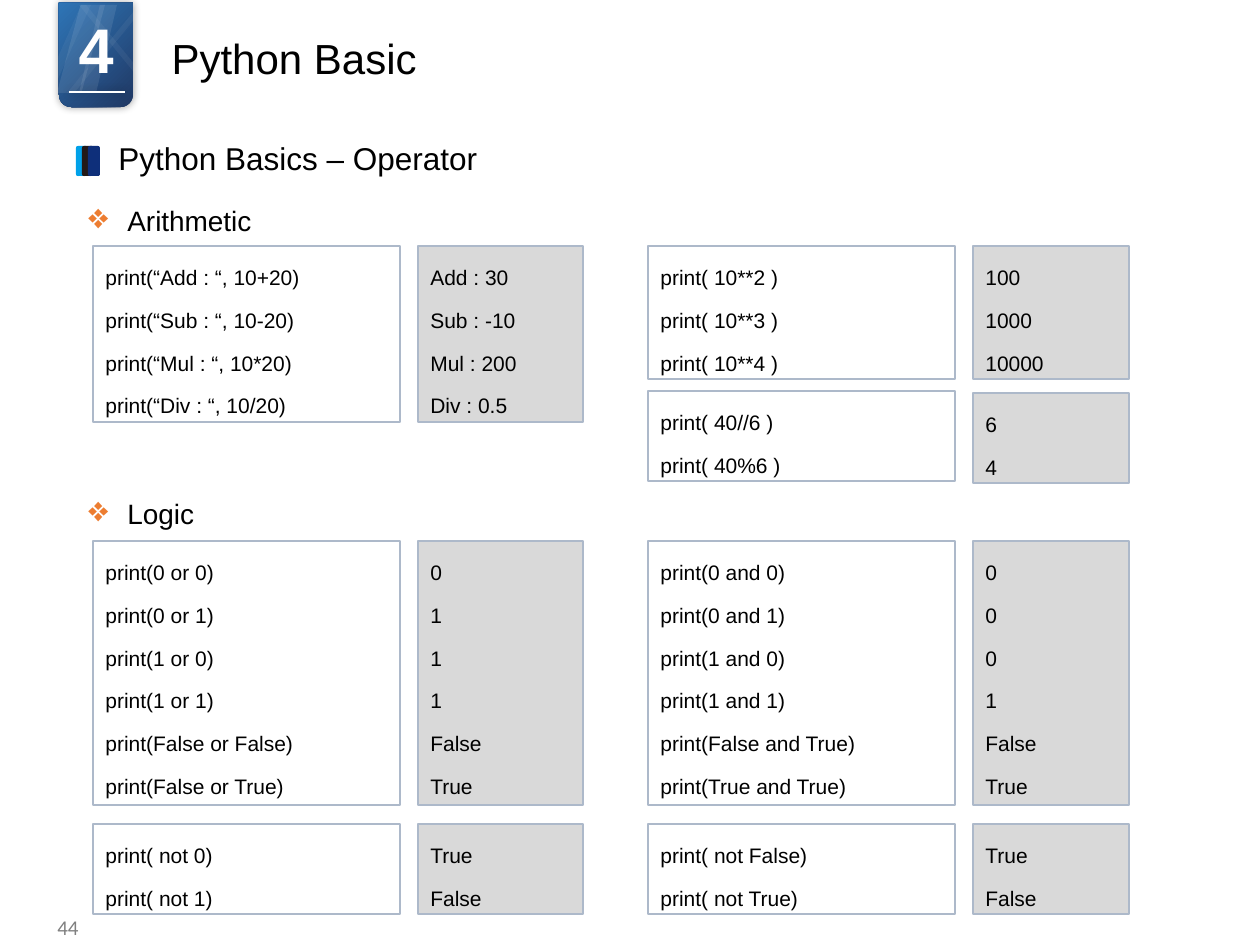
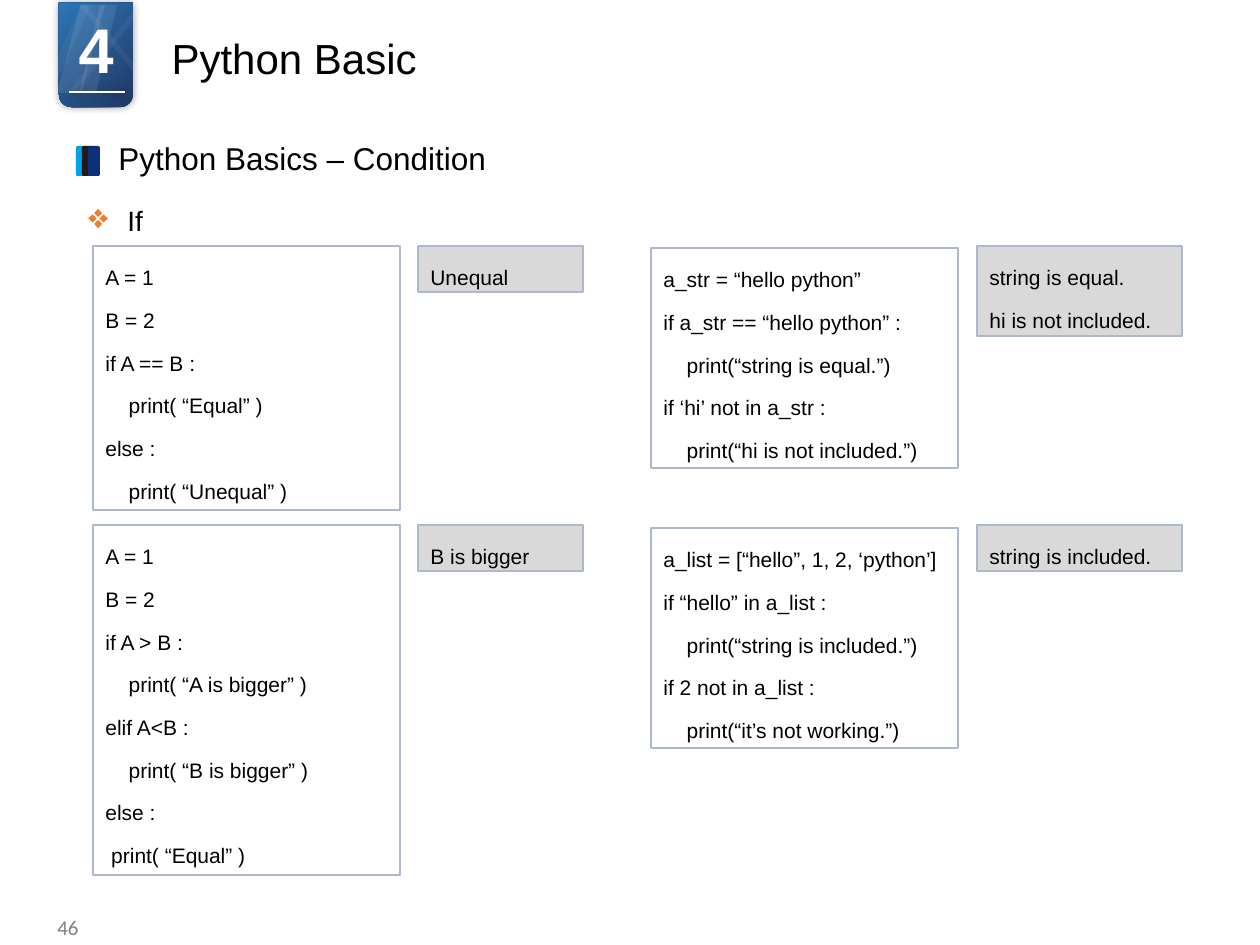
from lxml import etree
from pptx import Presentation
from pptx.dml.color import RGBColor
from pptx.enum.shapes import MSO_CONNECTOR, MSO_SHAPE
from pptx.enum.text import MSO_ANCHOR, MSO_AUTO_SIZE, PP_ALIGN
from pptx.oxml.ns import qn
from pptx.util import Emu, Pt

PX = 914400 / 126
COLORS = {
    "text": "000000", "white": "FFFFFF", "page": "808080",
    "output": "D9D9D9", "border": "ADB9CA", "bullet": "ED7D31",
    "badge_dark": "203864", "badge_light": "2E75B6",
    "bar_cyan": "00A1E9", "bar_black": "231916", "bar_navy": "0E2F7A",
}

# Column positions: left, width
LEFT_CODE, LEFT_OUT = (93, 307), (418, 165)
OPERATOR_CODE, OPERATOR_OUT = (648, 307), (973, 156)
CONDITION_CODE, CONDITION_OUT = (651, 307), (977, 205)

# Badge rays: left, width, adjustment, opacity in percent, mirrored
RAYS = [
    (57, 48, 0.49, 9, False),
    (79, 38, 0.55, 9, False),
    (67, 79, 0.91, 5, False),
    (42, 49, 0.8, 5, False),
    (79, 79, 0.91, 5, True),
]


def px(*values):
    return [Emu(round(v * PX)) for v in values]


def rgb(name):
    return RGBColor.from_string(COLORS[name])


def sub(parent, tag, **attrs):
    child = etree.SubElement(parent, qn(tag))
    for key, value in attrs.items():
        child.set(key, str(value))
    return child


def add_glow(s):
    """Soft shadow without offset."""
    effects = sub(s._element.spPr, "a:effectLst")
    shadow = sub(effects, "a:outerShdw", blurRad=Pt(5), dist=0, dir=0)
    sub(sub(shadow, "a:srgbClr", val=COLORS["text"]), "a:alpha", val=40000)


def add_preset(shapes, kind, box, fill=None, line=None):
    s = shapes.add_shape(kind, *px(*box))
    if fill:
        s.fill.solid()
        s.fill.fore_color.rgb = rgb(fill)
    else:
        s.fill.background()
    if line:
        s.line.color.rgb = rgb(line)
        s.line.width = Pt(0.75)
    else:
        s.line.fill.background()
    return s


def write(p, text, size, color="text", font="Arial", bold=False):
    r = p.add_run()
    r.text = text
    r.font.size = Pt(size)
    r.font.name = font
    r.font.bold = bold
    r.font.color.rgb = rgb(color)
    return r


def add_label(slide, box, text, size, align=PP_ALIGN.LEFT, anchor=MSO_ANCHOR.TOP, **style):
    tf = slide.shapes.add_textbox(*px(*box)).text_frame
    tf.word_wrap = True
    tf.vertical_anchor = anchor
    p = tf.paragraphs[0]
    p.alignment = align
    return p, write(p, text, size, **style)


def add_badge(slide, number):
    # Plate with gradient
    plate = add_preset(slide.shapes, MSO_SHAPE.ROUND_2_SAME_RECTANGLE, (59, 3, 74, 104))
    plate.rotation = 180
    plate.fill.gradient()
    plate.fill.gradient_angle = 315
    for stop, name in zip(plate.fill.gradient_stops, ("badge_dark", "badge_light")):
        stop.color.rgb = rgb(name)
    add_glow(plate)

    # Underline
    rule = slide.shapes.add_connector(MSO_CONNECTOR.STRAIGHT, *px(125, 92, 69, 92))
    rule.line.color.rgb = rgb("white")
    rule.line.width = Pt(1)
    add_glow(rule)

    # Light rays
    rays = slide.shapes.add_group_shape()
    for left, width, slant, opacity, mirrored in RAYS:
        s = add_preset(rays.shapes, MSO_SHAPE.PARALLELOGRAM, (left, 5, width, 88), "white")
        s.shadow.inherit = False
        s.adjustments[0] = slant
        sp_pr = s._element.spPr
        sub(sp_pr.find(".//" + qn("a:srgbClr")), "a:alpha", val=opacity * 1000)
        if mirrored:
            sp_pr.find(qn("a:xfrm")).set("flipH", "1")

    # Chapter number
    _, r = add_label(slide, (62, 4, 68, 89), number, 36, PP_ALIGN.CENTER,
                     color="white", bold=True)
    r._r.get_or_add_rPr().set("spc", "-150")


def add_title(slide, text):
    title = slide.shapes.title
    title.left, title.top, title.width, title.height = px(159, 26, 887, 72)
    tf = title.text_frame
    tf.auto_size = MSO_AUTO_SIZE.NONE
    tf.vertical_anchor = MSO_ANCHOR.TOP
    p = tf.paragraphs[0]
    p.alignment = PP_ALIGN.LEFT
    write(p, text, 24)


def add_topic(slide, text):
    bars = slide.shapes.add_group_shape()
    for i, name in enumerate(("bar_cyan", "bar_black", "bar_navy")):
        s = add_preset(bars.shapes, MSO_SHAPE.ROUNDED_RECTANGLE, (76 + 6 * i, 146, 12, 30), name)
        s.shadow.inherit = False
    p, _ = add_label(slide, (106, 137, 593, 47), text, 18, anchor=MSO_ANCHOR.MIDDLE)
    p.line_spacing = 0.9


def add_section(slide, top, text):
    p, _ = add_label(slide, (76, top, 483, 47), text, 16)
    pPr = p._p.get_or_add_pPr()
    indent = px(39)[0]
    pPr.set("marL", str(indent))
    pPr.set("indent", str(-indent))
    sub(sub(pPr, "a:buClr"), "a:srgbClr", val=COLORS["bullet"])
    sub(pPr, "a:buSzPct", val=125000)
    sub(pPr, "a:buChar", char="❖")


def add_box(slide, column, top, lines, fill=None):
    left, width = column
    height = round(2.5 + 43.5 * len(lines))
    s = add_preset(slide.shapes, MSO_SHAPE.RECTANGLE, (left, top, width, height), fill, "border")
    s.shadow.inherit = False
    tf = s.text_frame
    tf.word_wrap = True
    tf.auto_size = MSO_AUTO_SIZE.SHAPE_TO_FIT_TEXT
    tf.vertical_anchor = MSO_ANCHOR.TOP
    for i, line in enumerate(lines):
        p = tf.add_paragraph() if i else tf.paragraphs[0]
        p.alignment = PP_ALIGN.LEFT
        p.line_spacing = 1.5
        p.space_after = Pt(2.8)
        write(p, line, 12)


def add_example(slide, columns, tops, code, output):
    """A code box with its output beside it."""
    add_box(slide, columns[0], tops[0], code)
    add_box(slide, columns[1], tops[1], output, "output")


def new_slide(prs, topic, page):
    slide = prs.slides.add_slide(prs.slide_layouts[5])
    add_badge(slide, "4")
    add_title(slide, "Python Basic")
    add_topic(slide, topic)
    add_label(slide, (29, 914, 62, 26), page, 12, PP_ALIGN.RIGHT, MSO_ANCHOR.MIDDLE,
              color="page", font="Calibri")
    return slide


def build_operators(prs):
    slide = new_slide(prs, "Python Basics – Operator", "44")
    left, right = (LEFT_CODE, LEFT_OUT), (OPERATOR_CODE, OPERATOR_OUT)

    # Arithmetic
    add_section(slide, 197, "Arithmetic")
    add_example(slide, left, (246, 246),
                ["print(“Add : “, 10+20)", "print(“Sub : “, 10-20)",
                 "print(“Mul : “, 10*20)", "print(“Div : “, 10/20)"],
                ["Add : 30", "Sub : -10", "Mul : 200", "Div : 0.5"])
    add_example(slide, right, (246, 246),
                ["print( 10**2 )", "print( 10**3 )", "print( 10**4 )"],
                ["100", "1000", "10000"])
    add_example(slide, right, (391, 393), ["print( 40//6 )", "print( 40%6 )"], ["6", "4"])

    # Logic
    add_section(slide, 490, "Logic")
    add_example(slide, left, (541, 541),
                ["print(0 or 0)", "print(0 or 1)", "print(1 or 0)", "print(1 or 1)",
                 "print(False or False)", "print(False or True)"],
                ["0", "1", "1", "1", "False", "True"])
    add_example(slide, right, (541, 541),
                ["print(0 and 0)", "print(0 and 1)", "print(1 and 0)", "print(1 and 1)",
                 "print(False and True)", "print(True and True)"],
                ["0", "0", "0", "1", "False", "True"])
    add_example(slide, left, (824, 824), ["print( not 0)", "print( not 1)"], ["True", "False"])
    add_example(slide, right, (824, 824),
                ["print( not False)", "print( not True)"], ["True", "False"])


def build_conditions(prs):
    slide = new_slide(prs, "Python Basics – Condition", "46")
    left, right = (LEFT_CODE, LEFT_OUT), (CONDITION_CODE, CONDITION_OUT)
    add_section(slide, 197, "If")

    # Comparing numbers
    add_example(slide, left, (246, 246),
                ["A = 1", "B = 2", "if A == B :", "    print( “Equal” )",
                 "else :", "    print( “Unequal” )"],
                ["Unequal"])
    add_example(slide, left, (525, 525),
                ["A = 1", "B = 2", "if A > B :", "    print( “A is bigger” )",
                 "elif A<B :", "    print( “B is bigger” )", "else :", " print( “Equal” )"],
                ["B is bigger"])

    # Strings and lists
    add_example(slide, right, (248, 246),
                ["a_str = “hello python”", "if a_str == “hello python” :",
                 "    print(“string is equal.”)", "if ‘hi’ not in a_str :",
                 "    print(“hi is not included.”)"],
                ["string is equal.", "hi is not included."])
    add_example(slide, right, (528, 525),
                ["a_list = [“hello”, 1, 2, ‘python’]", "if “hello” in a_list :",
                 "    print(“string is included.”)", "if 2 not in a_list :",
                 "    print(“it’s not working.”)"],
                ["string is included."])


def main():
    prs = Presentation()
    prs.slide_width, prs.slide_height = px(1260, 945)
    build_operators(prs)
    build_conditions(prs)
    prs.save("out.pptx")


if __name__ == "__main__":
    main()
